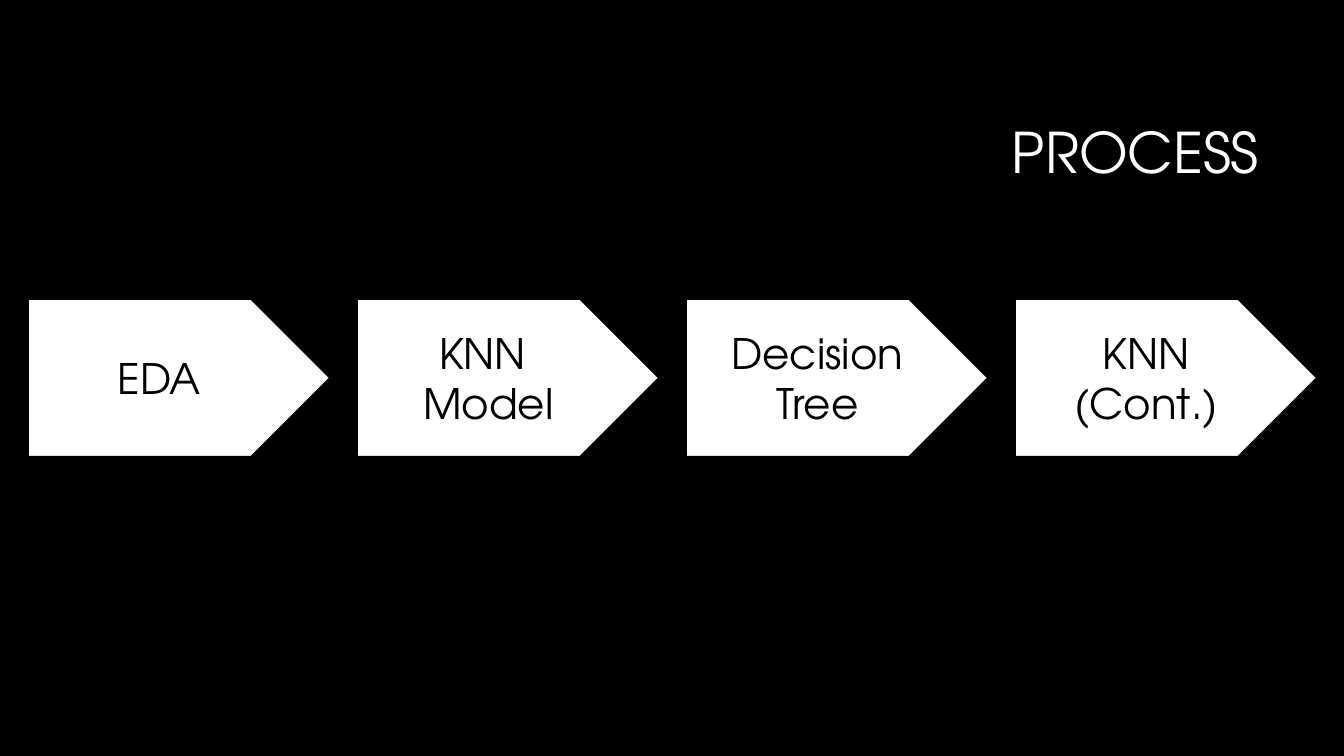
from pptx import Presentation
from pptx.dml.color import RGBColor
from pptx.enum.shapes import MSO_SHAPE
from pptx.enum.text import MSO_ANCHOR, PP_ALIGN
from pptx.util import Pt

FONT = "TeX Gyre Adventor"
BLACK = RGBColor(0x00, 0x00, 0x00)
WHITE = RGBColor(0xFF, 0xFF, 0xFF)
PENTAGON = MSO_SHAPE.PENTAGON
MIDDLE = MSO_ANCHOR.MIDDLE
CENTER = PP_ALIGN.CENTER
RIGHT = PP_ALIGN.RIGHT
TITLE_ONLY = 5

STEPS = ["EDA", "KNN \nModel", "Decision Tree", "KNN (Cont.)"]
STEP_LEFT, STEP_TOP = 20.2, 213.8
STEP_WIDTH, STEP_HEIGHT = 215.3, 112.3
STEP_PITCH = 235


def set_text(sp, text, size, color, align):
    tf = sp.text_frame
    tf.word_wrap = True
    tf.vertical_anchor = MIDDLE
    tf.text = text
    for p in tf.paragraphs:
        p.alignment = align
        for r in p.runs:
            r.font.name = FONT
            r.font.size = Pt(size)
            r.font.color.rgb = color


def set_title(s, text):
    sp = s.shapes.title
    sp.left, sp.top, sp.width, sp.height = Pt(228.2), Pt(60.5), Pt(678.2), Pt(101.5)
    set_text(sp, text, 40, WHITE, RIGHT)
    sp.text_frame.paragraphs[0].line_spacing = 0.9


def add_step(s, index, text):
    sp = s.shapes.add_shape(PENTAGON, Pt(STEP_LEFT + index * STEP_PITCH), Pt(STEP_TOP),
                            Pt(STEP_WIDTH), Pt(STEP_HEIGHT))
    sp.shadow.inherit = False
    sp.fill.solid()
    sp.fill.fore_color.rgb = WHITE
    sp.line.color.rgb = BLACK
    sp.line.width = Pt(1)
    set_text(sp, text, 30, BLACK, CENTER)


def main():
    prs = Presentation()
    prs.slide_width, prs.slide_height = Pt(960), Pt(540)
    s = prs.slides.add_slide(prs.slide_layouts[TITLE_ONLY])

    # Background
    s.background.fill.solid()
    s.background.fill.fore_color.rgb = BLACK

    # Title and process steps
    set_title(s, "PROCESS")
    for index, text in enumerate(STEPS):
        add_step(s, index, text)

    prs.save("out.pptx")


if __name__ == "__main__":
    main()
